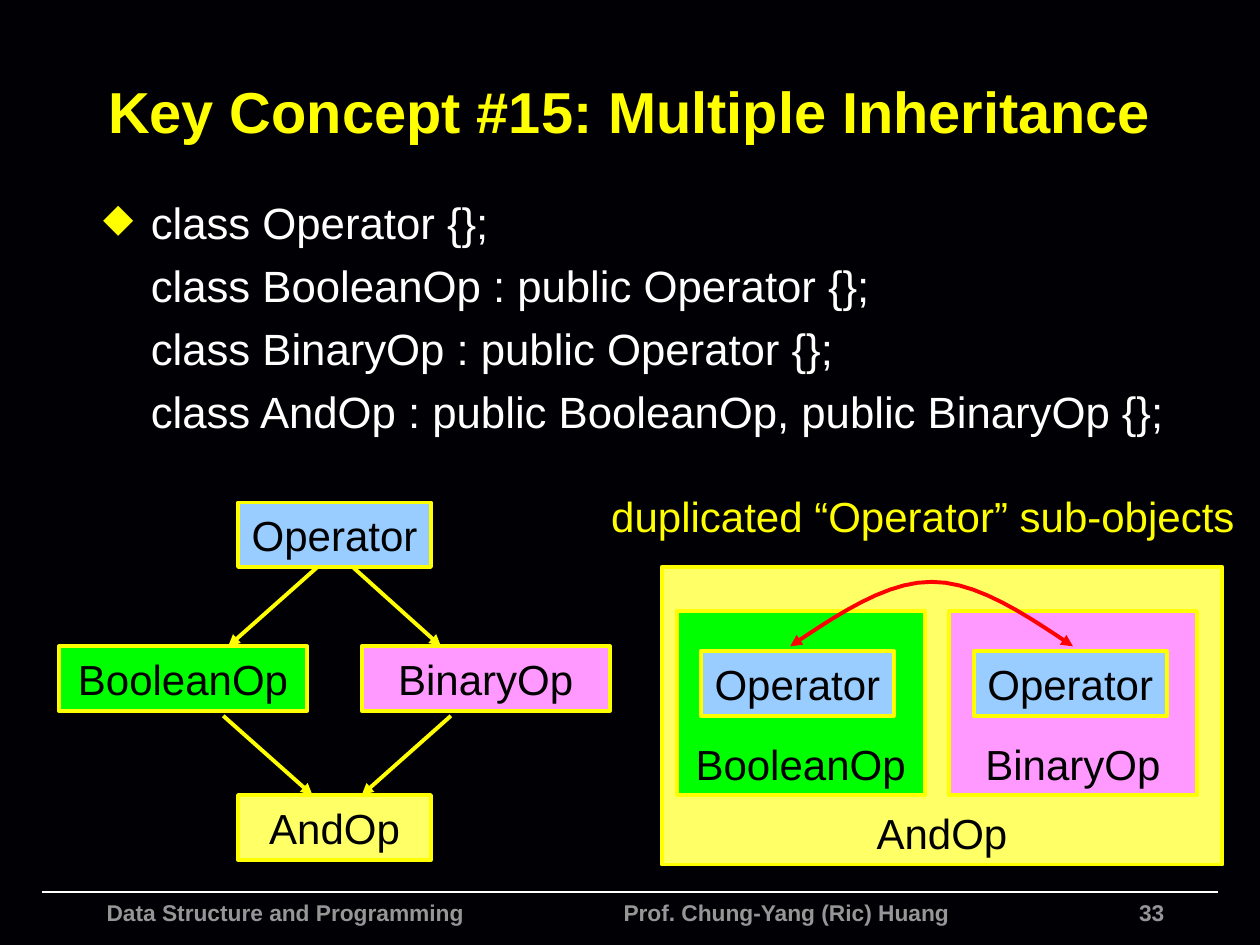
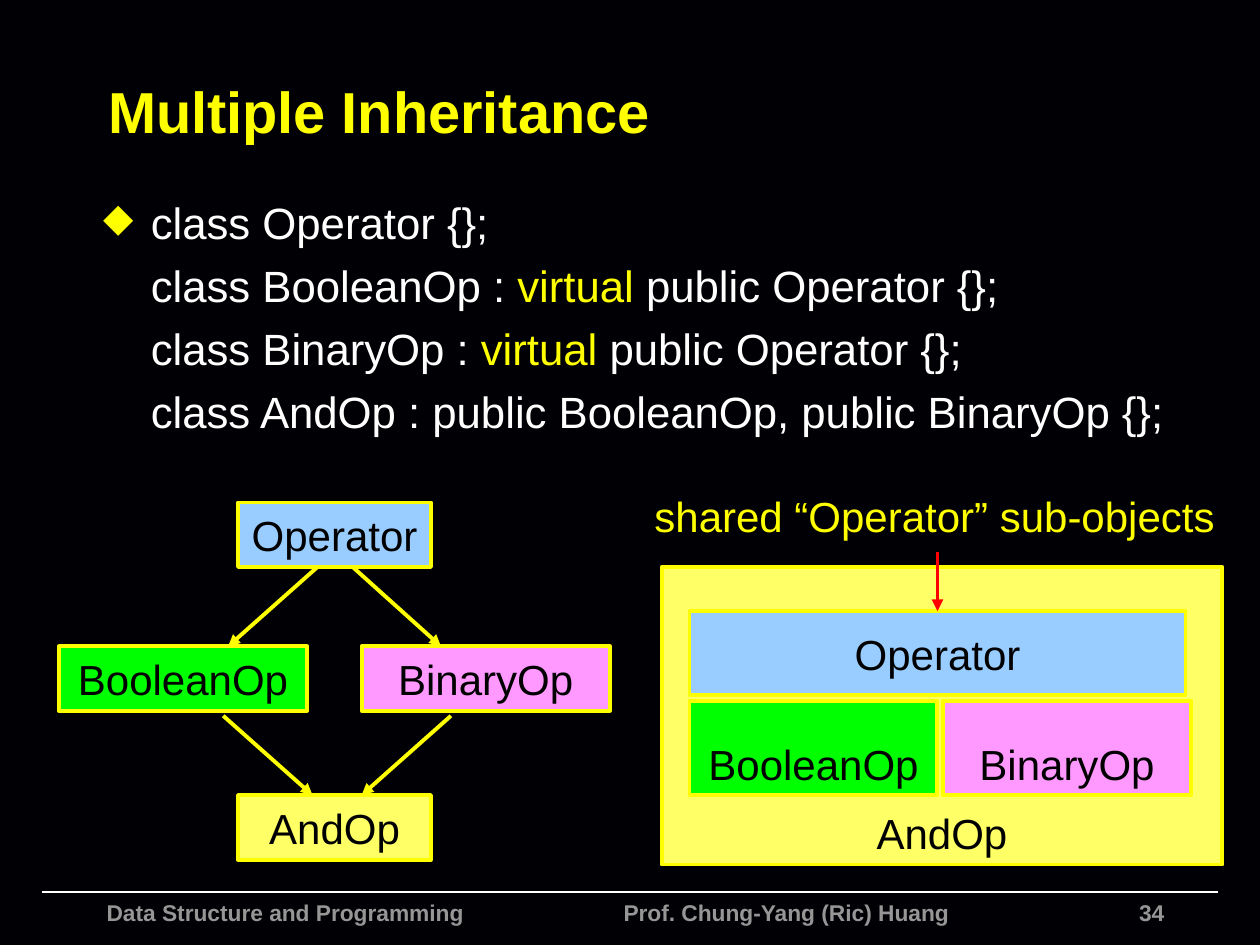
from lxml.etree import SubElement
from pptx import Presentation
from pptx.dml.color import RGBColor
from pptx.enum.shapes import MSO_CONNECTOR, MSO_SHAPE
from pptx.enum.text import MSO_ANCHOR as ANCHOR, PP_ALIGN as ALIGN
from pptx.oxml import parse_xml
from pptx.oxml.ns import nsdecls, qn
from pptx.util import Cm, Pt

NIGHT = RGBColor(0x01, 0x00, 0x04)
WHITE = RGBColor(0xFF, 0xFF, 0xFF)
BLACK = RGBColor(0x00, 0x00, 0x00)
GREY = RGBColor(0x96, 0x96, 0x96)
YELLOW = RGBColor(0xFF, 0xFF, 0x00)
RED = RGBColor(0xFF, 0x00, 0x00)
CLASS_FILLS = {
    "Operator": RGBColor(0x99, 0xCC, 0xFF),
    "BooleanOp": RGBColor(0x00, 0xFF, 0x00),
    "BinaryOp": RGBColor(0xFF, 0x99, 0xFF),
    "AndOp": RGBColor(0xFF, 0xFF, 0x66),
}

FOOTER_TOP = 17.98
NARROW, WIDE, BOX_HEIGHT = 3.89, 5.0, 1.3
INDENT = Cm(0.96)

# Class diagram on the left of both slides: name, left, top, width
HIERARCHY = [
    ("Operator", 4.8, 10.13, NARROW),
    ("BooleanOp", 1.19, 13.03, WIDE),
    ("BinaryOp", 7.29, 13.03, WIDE),
    ("AndOp", 4.8, 16.03, NARROW),
]
HIERARCHY_ARROWS = [
    (6.4, 11.43, 4.6, 13.03),
    (7.11, 11.43, 8.89, 13.03),
    (4.5, 14.43, 6.3, 16.03),
    (9.09, 14.43, 7.29, 16.03),
]

# Object layout on the right: name, position, text anchor
WHOLE_OBJECT = ("AndOp", (13.34, 11.43, 11.3, 6.0), ANCHOR.BOTTOM)
SLIDES = [
    {
        "number": 33,
        "title": "Key Concept #15: Multiple Inheritance",
        "inherits": "public",
        "label": ("duplicated “Operator” sub-objects", (12.19, 9.75, 12.83, 1.27)),
        "objects": [
            WHOLE_OBJECT,
            ("BooleanOp", (13.64, 12.32, WIDE, 3.71), ANCHOR.BOTTOM),
            ("BinaryOp", (19.13, 12.32, WIDE, 3.71), ANCHOR.BOTTOM),
            ("Operator", (14.13, 13.13, NARROW, BOX_HEIGHT), ANCHOR.MIDDLE),
            ("Operator", (19.63, 13.13, NARROW, BOX_HEIGHT), ANCHOR.MIDDLE),
        ],
    },
    {
        "number": 34,
        "title": "Multiple Inheritance",
        "inherits": "virtual public",
        "label": ("shared “Operator” sub-objects", (13.06, 9.75, 11.56, 1.27)),
        "objects": [
            WHOLE_OBJECT,
            ("BooleanOp", (13.9, 14.13, WIDE, 1.9), ANCHOR.BOTTOM),
            ("BinaryOp", (19.01, 14.13, WIDE, 1.9), ANCHOR.BOTTOM),
            ("Operator", (13.9, 12.32, 2 * WIDE, 1.7), ANCHOR.MIDDLE),
        ],
    },
]


def style_line(shape, colour, width=2.25, arrow_ends=()):
    shape.line.color.rgb = colour
    shape.line.width = Pt(width)
    properties = shape.element.spPr
    for end in arrow_ends:
        SubElement(properties.find(qn("a:ln")), qn(f"a:{end}"), type="triangle")
    SubElement(properties, qn("a:effectLst"))


def add_text(slide, text, position, size, colour, fill=None, align=ALIGN.LEFT,
             anchor=ANCHOR.TOP, bold=False, wrap=True, inset=0.25):
    box = [Cm(length) for length in position]
    if fill is None:
        shape = slide.shapes.add_textbox(*box)
    else:
        shape = slide.shapes.add_shape(MSO_SHAPE.RECTANGLE, *box)
        shape.fill.solid()
        shape.fill.fore_color.rgb = fill
        style_line(shape, YELLOW)
    frame = shape.text_frame
    frame.text = text
    frame.word_wrap = wrap
    frame.vertical_anchor = anchor
    frame.margin_left = frame.margin_right = Cm(inset)
    frame.margin_top = frame.margin_bottom = Cm(0.13)
    for paragraph in frame.paragraphs:
        paragraph.alignment = align
        paragraph.font.name = "Arial"
        paragraph.font.size = Pt(size)
        paragraph.font.bold = bold
        paragraph.font.color.rgb = colour
    return frame


presentation = Presentation()
presentation.slide_width, presentation.slide_height = Cm(25.4), Cm(19.05)
background = presentation.slide_master.background.fill
background.solid()
background.fore_color.rgb = NIGHT
blank_layout = presentation.slide_layouts[6]

diagram_text = {"align": ALIGN.CENTER, "wrap": False, "inset": 0.13}
footer_text = {"size": 13, "colour": GREY, "bold": True}

for content in SLIDES:
    slide = presentation.slides.add_slide(blank_layout)

    # Footer
    rule = slide.shapes.add_connector(
        MSO_CONNECTOR.STRAIGHT, Cm(0.84), Cm(FOOTER_TOP), Cm(24.56), Cm(FOOTER_TOP))
    style_line(rule, WHITE, 1)
    add_text(slide, str(content["number"]), (15.67, FOOTER_TOP, 8.05, 0.46),
             align=ALIGN.RIGHT, **footer_text)
    footer = add_text(slide, "Data Structure and Programming\tProf. Chung-Yang (Ric) Huang",
                      (1.9, FOOTER_TOP, 18.39, 1.07), **footer_text)
    footer_font = footer.paragraphs[0]._p.pPr.find(qn("a:defRPr"))
    footer_font.addprevious(parse_xml(
        f'<a:tabLst {nsdecls("a")}><a:tab pos="{Cm(10.42)}" algn="l"/></a:tabLst>'))

    # Title
    add_text(slide, content["title"], (1.93, 0.94, 22.45, 2.57), 33, YELLOW,
             anchor=ANCHOR.MIDDLE, bold=True)

    # Class declarations, with one bullet and the keyword picked out
    inherits = content["inherits"]
    code = add_text(slide, "\n".join([
        "class Operator {};",
        f"class BooleanOp : {inherits} Operator {{}};",
        f"class BinaryOp : {inherits} Operator {{}};",
        "class AndOp : public BooleanOp, public BinaryOp {};",
    ]), (1.83, 3.81, 22.17, 5.82), 25, WHITE)
    for paragraph in code.paragraphs:
        paragraph.space_before = Pt(6)
        paragraph._p.pPr.set("marL", str(INDENT))
        before, keyword, after = paragraph.text.partition("virtual")
        if keyword:
            paragraph.clear()
            for part in (before, keyword, after):
                run = paragraph.add_run()
                run.text = part
                if part == keyword:
                    run.font.color.rgb = YELLOW
    first_properties = code.paragraphs[0]._p.pPr
    first_properties.set("indent", str(-INDENT))
    for bullet in (f'<a:buClr {nsdecls("a")}><a:srgbClr val="{YELLOW}"/></a:buClr>',
                   f'<a:buSzPct {nsdecls("a")} val="90000"/>',
                   f'<a:buChar {nsdecls("a")} char="◆"/>'):
        first_properties.find(qn("a:defRPr")).addprevious(parse_xml(bullet))

    # Class hierarchy
    for name, left, top, width in HIERARCHY:
        add_text(slide, name, (left, top, width, BOX_HEIGHT), 24, BLACK,
                 CLASS_FILLS[name], anchor=ANCHOR.MIDDLE, **diagram_text)
    for ends in HIERARCHY_ARROWS:
        arrow = slide.shapes.add_connector(
            MSO_CONNECTOR.STRAIGHT, *[Cm(length) for length in ends])
        style_line(arrow, YELLOW, arrow_ends=["tailEnd"])

    # Object layout and its label
    for name, position, anchor in content["objects"]:
        add_text(slide, name, position, 24, BLACK, CLASS_FILLS[name],
                 anchor=anchor, **diagram_text)
    label, position = content["label"]
    add_text(slide, label, position, 24, YELLOW, **diagram_text)

# Curved double arrow between the two Operator parts: half a curve, mirrored
first_slide, second_slide = presentation.slides
CENTRE, STEPS = 18.78, 10
half_curve = []
for step in range(STEPS + 1):
    t = step / STEPS
    weights = ((1 - t) ** 3, 3 * t * (1 - t) ** 2, 3 * t * t * (1 - t), t ** 3)
    half_curve.append(tuple(
        sum(weight * value for weight, value in zip(weights, controls))
        for controls in ((15.93, 16.9, 17.86, CENTRE), (13.03, 12.38, 11.73, 11.73))))
curve = half_curve + [(2 * CENTRE - x, y) for x, y in reversed(half_curve[:-1])]
points = [(Cm(x), Cm(y)) for x, y in curve]
builder = first_slide.shapes.build_freeform(*points[0])
builder.add_line_segments(points[1:], close=False)
double_arrow = builder.convert_to_shape()
double_arrow.fill.background()
style_line(double_arrow, RED, arrow_ends=["headEnd", "tailEnd"])

# Straight arrow from the label to the shared Operator part
pointer = second_slide.shapes.add_connector(
    MSO_CONNECTOR.STRAIGHT, Cm(18.9), Cm(11.13), Cm(18.9), Cm(12.32))
style_line(pointer, RED, arrow_ends=["tailEnd"])

presentation.save("out.pptx")
